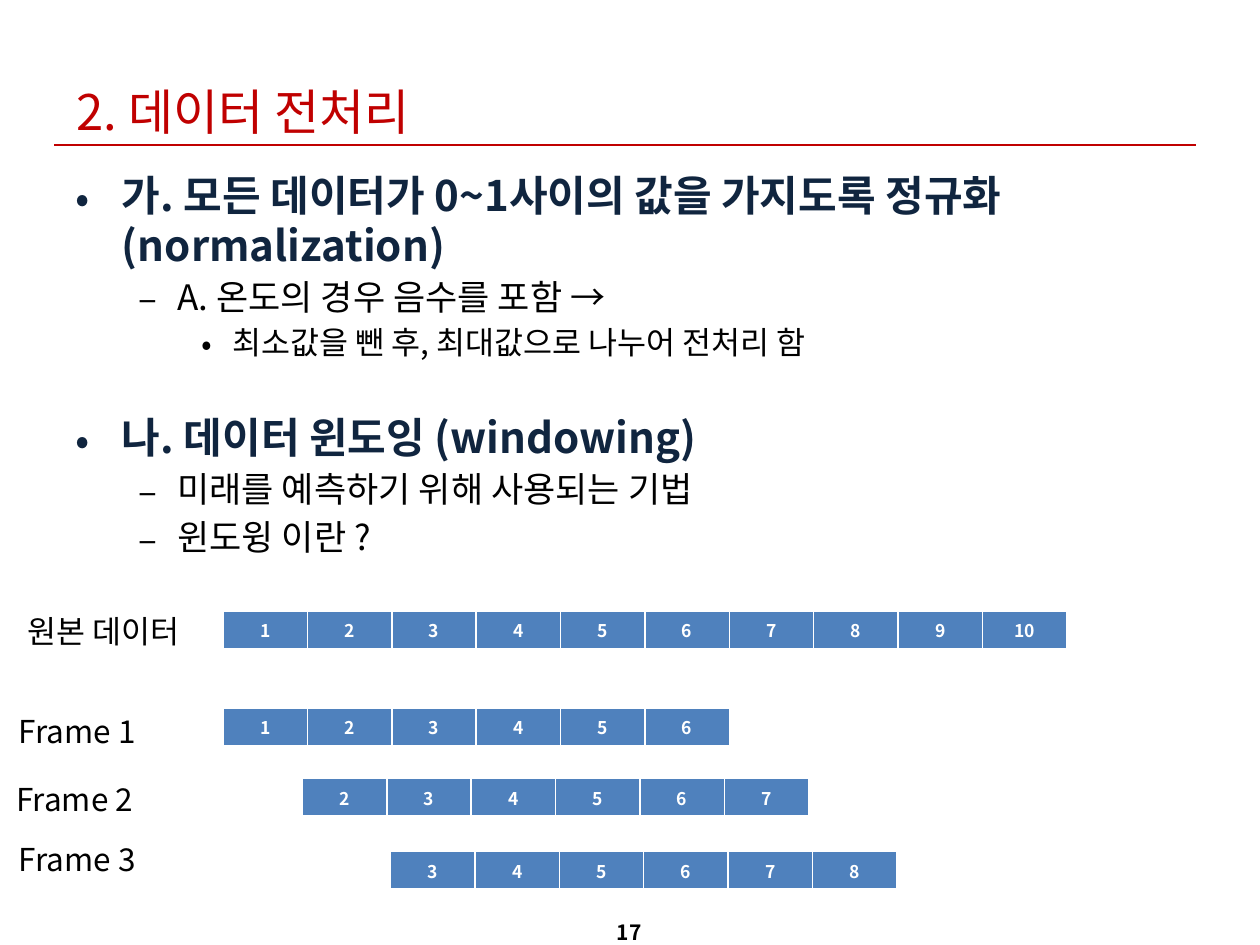
from lxml.etree import SubElement
from pptx import Presentation
from pptx.dml.color import RGBColor
from pptx.enum.text import MSO_ANCHOR, PP_ALIGN
from pptx.oxml.ns import qn
from pptx.util import Inches, Pt

FONT = "Noto Sans CJK KR"
RED, NAVY, BLUE = "C00000", "10253F", "4F81BD"
BLACK, WHITE = "000000", "FFFFFF"
PITCH = 1.17
CELL_W, CELL_H = 0.67, 0.31

# level: indent, hanging, bullet, size, colour, bold
LEVELS = [
    (0.37, 0.37, "•", 24, NAVY, True),
    (0.81, 0.31, "–", 20, BLACK, False),
    (1.25, 0.25, "•", 18, BLACK, False),
]
# level, text, extra space before in points
POINTS = [
    (0, "가. 모든 데이터가 0~1사이의 값을 가지도록 정규화 (normalization)", 0),
    (1, "A. 온도의 경우 음수를 포함 →", 0),
    (2, "최소값을 뺀 후, 최대값으로 나누어 전처리 함", 0),
    (0, "나. 데이터 윈도잉 (windowing)", 25),
    (1, "미래를 예측하기 위해 사용되는 기법", 0),
    (1, "윈도윙 이란 ?", 0),
]
# label, its left, top and width, strip left and top, first and last value
STRIPS = [
    ("원본 데이터", 0.12, 4.81, 1.55, 1.77, 4.85, 1, 10),
    ("Frame 1", 0.05, 5.6, 1.17, 1.77, 5.62, 1, 6),
    ("Frame 2", 0.03, 6.14, 1.17, 2.4, 6.18, 2, 7),
    ("Frame 3", 0.05, 6.62, 1.17, 3.1, 6.76, 3, 8),
]


def rgb(code):
    return RGBColor.from_string(code)


class Board:
    def __init__(self, slide):
        self.slide = slide

    def run(self, para, text, size, color, bold=False):
        run = para.add_run()
        run.text = text
        font = run.font
        font.name, font.size, font.bold = FONT, Pt(size), bold
        font.color.rgb = rgb(color)
        SubElement(font._element, qn("a:ea"), typeface=FONT)

    def title(self, text):
        box = self.slide.shapes.title
        box.left, box.top = Inches(0.51), Inches(0.29)
        box.width, box.height = Inches(8.98), Inches(0.87)
        box.text_frame.vertical_anchor = MSO_ANCHOR.BOTTOM
        para = box.text_frame.paragraphs[0]
        para.alignment = PP_ALIGN.LEFT
        para.line_spacing = Pt(28 * PITCH)
        self.run(para, text, 28, RED)

    def rule(self, left, right, y, color):
        line = self.slide.shapes.add_connector(
            1, Inches(left), Inches(y), Inches(right), Inches(y))
        line.line.color.rgb = rgb(color)
        line.line.width = Pt(0.75)
        SubElement(line._element.spPr, qn("a:effectLst"))

    def box(self, left, top, width, height, wrap=True):
        frame = self.slide.shapes.add_textbox(
            Inches(left), Inches(top), Inches(width), Inches(height)).text_frame
        frame.word_wrap = wrap
        return frame

    def label(self, text, left, top, width):
        frame = self.box(left, top, width, 0.4, wrap=False)
        frame.vertical_anchor = MSO_ANCHOR.MIDDLE
        self.run(frame.paragraphs[0], text, 18, BLACK)

    def number(self, text):
        frame = self.box(3.83, 7.26, 2.33, 0.27)
        frame.vertical_anchor = MSO_ANCHOR.MIDDLE
        para = frame.paragraphs[0]
        para.alignment = PP_ALIGN.CENTER
        self.run(para, text, 12, BLACK, True)

    def bullets(self, points):
        frame = self.box(0.5, 1.31, 9, 5.64)
        for i, (level, text, extra) in enumerate(points):
            indent, hang, mark, size, color, bold = LEVELS[level]
            para = frame.add_paragraph() if i else frame.paragraphs[0]
            para.level = level
            para.line_spacing = Pt(size * PITCH)
            para.space_before = Pt(size * 0.2 + extra)
            props = para._p.get_or_add_pPr()
            props.set("marL", str(Inches(indent)))
            props.set("indent", str(-Inches(hang)))
            SubElement(props, qn("a:buFont"), typeface=FONT)
            SubElement(props, qn("a:buChar"), char=mark)
            self.run(para, text, size, color, bold)

    def strip(self, left, top, values):
        """Draw a one-row table of values."""
        table = self.slide.shapes.add_table(
            1, len(values), Inches(left), Inches(top),
            Inches(CELL_W * len(values)), Inches(CELL_H)).table
        for col, value in enumerate(values):
            cell = table.cell(0, col)
            self.edges(cell)
            cell.fill.solid()
            cell.fill.fore_color.rgb = rgb(BLUE)
            para = cell.text_frame.paragraphs[0]
            para.alignment = PP_ALIGN.CENTER
            self.run(para, str(value), 10, WHITE, True)

    def edges(self, cell):
        props = cell._tc.get_or_add_tcPr()
        for side, width in (("L", 1), ("R", 1), ("T", 1), ("B", 3)):
            line = SubElement(props, qn("a:ln" + side), w=str(Pt(width)))
            fill = SubElement(line, qn("a:solidFill"))
            SubElement(fill, qn("a:srgbClr"), val=WHITE)


def main():
    deck = Presentation()
    deck.slide_width, deck.slide_height = Inches(10), Inches(7.5)
    board = Board(deck.slides.add_slide(deck.slide_layouts[5]))
    board.rule(0.43, 9.49, 1.15, RED)
    board.title("2. 데이터 전처리")
    board.bullets(POINTS)
    board.number("17")
    for text, x, y, width, left, top, first, last in STRIPS:
        board.label(text, x, y, width)
        board.strip(left, top, range(first, last + 1))
    deck.save("out.pptx")


if __name__ == "__main__":
    main()
